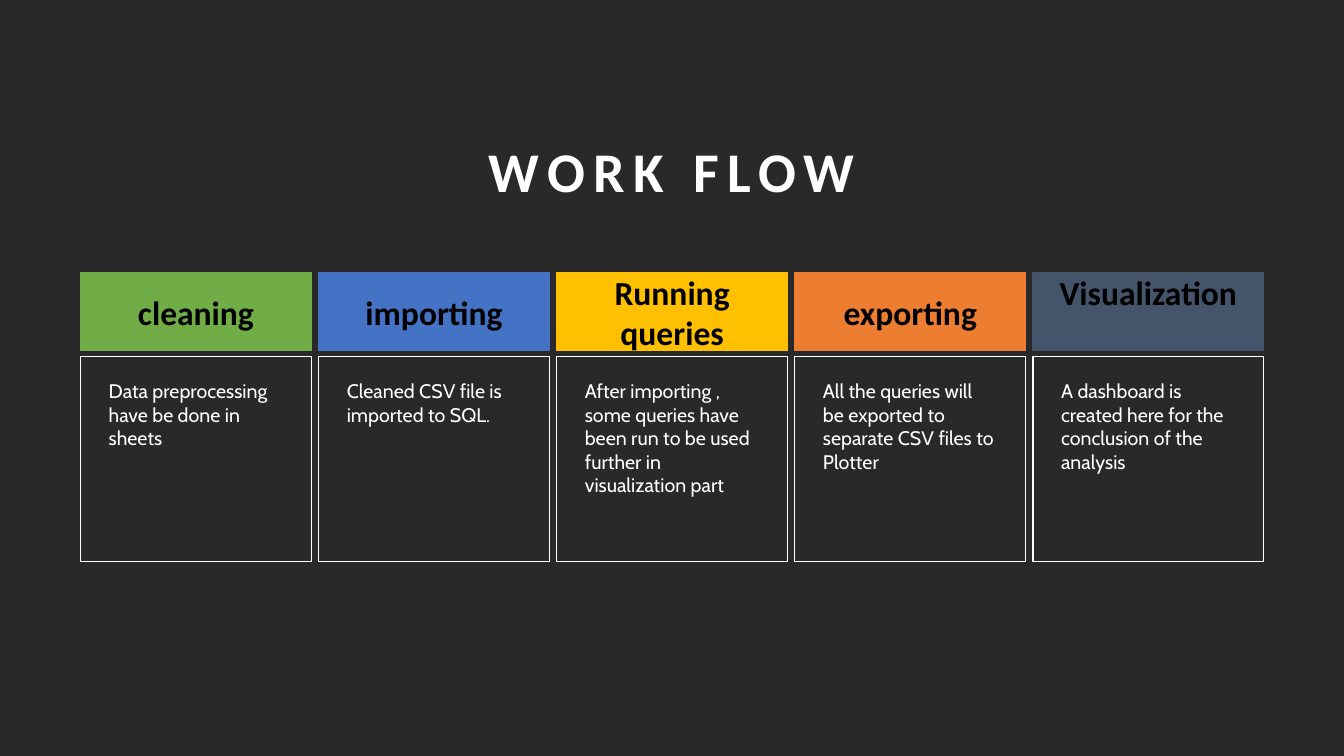
from pptx import Presentation
from pptx.dml.color import RGBColor
from pptx.enum.shapes import MSO_SHAPE as SHAPE
from pptx.enum.text import MSO_ANCHOR as ANCHOR, PP_ALIGN as ALIGN
from pptx.util import Cm, Pt

STEPS = [
    ("cleaning", "70AD47", "Data preprocessing have be done in sheets"),
    ("importing", "4472C4", "Cleaned CSV file is imported to SQL."),
    ("Running queries", "FFC000",
     "After importing , some queries have been run to be used further in visualization part"),
    ("exporting", "ED7D31", "All the queries will be exported to separate CSV files to Plotter"),
    ("Visualization", "44546A", "A dashboard is created here for the conclusion of the analysis"),
]
LEFT, PITCH, WIDTH = 2.03, 6, 5.82
HEAD_TOP, HEAD_HEIGHT = 6.88, 1.96
BODY_TOP, BODY_HEIGHT = 8.99, 5.16
INSETS = (0.25, 0.13, 0.25, 0.13)
RAISED_INSETS = (0.25, 0.13, 0.25, 1.15)
BODY_INSETS = (0.71, 0.56, 0.76, 0.13)


def rgb(value):
    return RGBColor.from_string(value)


def write(sp, text, font="Calibri", size=24, color="000000", bold=False, align=ALIGN.CENTER,
          anchor=ANCHOR.MIDDLE, insets=INSETS, line_spacing=None, tracking=None):
    tf = sp.text_frame
    tf.word_wrap = True
    tf.vertical_anchor = anchor
    tf.margin_left, tf.margin_top, tf.margin_right, tf.margin_bottom = map(Cm, insets)
    p = tf.paragraphs[0]
    p.alignment = align
    if line_spacing:
        p.line_spacing = line_spacing
    r = p.add_run()
    r.text = text
    r.font.name = font
    r.font.size = Pt(size)
    r.font.bold = bold
    r.font.color.rgb = rgb(color)
    if tracking:
        r.font._element.set("spc", str(tracking * 100))


class Deck:
    white = "FFFFFF"
    background = "292929"

    def __init__(self):
        self.prs = Presentation()
        self.prs.slide_width, self.prs.slide_height = Cm(33.87), Cm(19.05)
        self.s = self.prs.slides.add_slide(self.prs.slide_layouts[6])
        fill = self.s.background.fill
        fill.solid()
        fill.fore_color.rgb = rgb(self.background)

    def title(self, text, x, y, w, h):
        sp = self.s.shapes.add_textbox(Cm(x), Cm(y), Cm(w), Cm(h))
        write(sp, text, size=40, color=self.white, bold=True, anchor=ANCHOR.BOTTOM,
              line_spacing=0.9, tracking=6)

    def box(self, x, y, w, h, line, fill=None):
        sp = self.s.shapes.add_shape(SHAPE.RECTANGLE, Cm(x), Cm(y), Cm(w), Cm(h))
        sp.shadow.inherit = False
        if fill:
            sp.fill.solid()
            sp.fill.fore_color.rgb = rgb(fill)
        else:
            sp.fill.background()
        sp.line.color.rgb = rgb(line)
        sp.line.width = Pt(1)
        return sp

    def step(self, x, name, color, detail, insets):
        head = self.box(x, HEAD_TOP, WIDTH, HEAD_HEIGHT, color, fill=color)
        write(head, name, bold=True, insets=insets)
        body = self.box(x, BODY_TOP, WIDTH, BODY_HEIGHT, self.white)
        write(body, detail, font="Cabin", size=14, color=self.white, align=ALIGN.LEFT,
              anchor=ANCHOR.TOP, insets=BODY_INSETS)


def main():
    deck = Deck()
    deck.title("WORK FLOW", 4.6, 2.31, 24.66, 2.97)
    for i, (name, color, detail) in enumerate(STEPS):
        insets = RAISED_INSETS if name == "Visualization" else INSETS
        deck.step(LEFT + i * PITCH, name, color, detail, insets)
    deck.prs.save("out.pptx")


if __name__ == "__main__":
    main()
